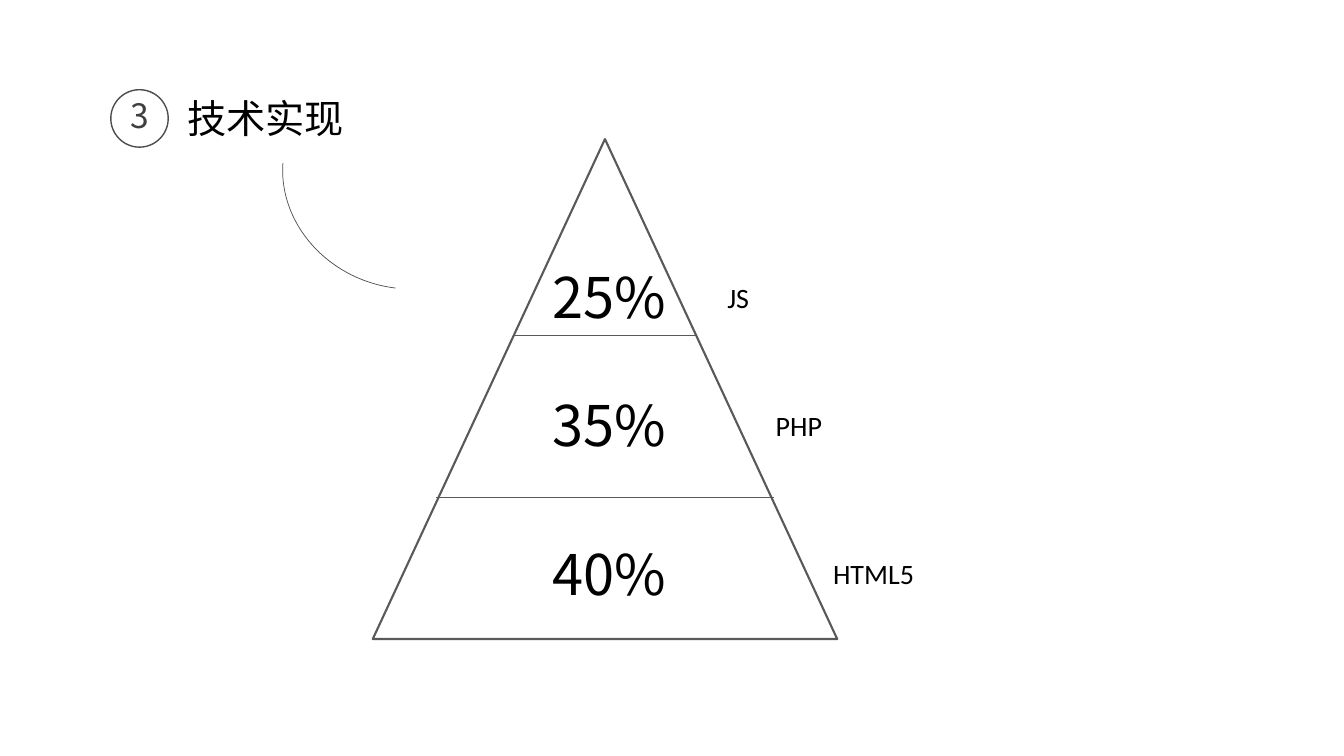
from lxml import etree
from pptx import Presentation
from pptx.dml.color import RGBColor
from pptx.enum.shapes import MSO_CONNECTOR, MSO_SHAPE
from pptx.enum.text import MSO_AUTO_SIZE
from pptx.oxml.ns import qn
from pptx.util import Inches, Pt

OVAL, ARC, TRIANGLE = MSO_SHAPE.OVAL, MSO_SHAPE.ARC, MSO_SHAPE.ISOSCELES_TRIANGLE
STRAIGHT = MSO_CONNECTOR.STRAIGHT
GROW = MSO_AUTO_SIZE.SHAPE_TO_FIT_TEXT
CJK, LATIN = "Noto Sans CJK SC", "Calibri"
BLACK, GRAY, DARK, MID = "000000", "404040", "4D4D4D", "595959"

LEVELS = [
    ("25%", 2.56, "JS", 7.12, 2.73),
    ("35%", 3.83, "PHP", 7.6, 4),
    ("40%", 5.3, "HTML5", 8.17, 5.47),
]
DIVIDERS = [(5.09, 6.9, 3.33), (4.33, 7.68, 4.93)]


def rgb(value):
    """Return the colour for a hex string."""
    return RGBColor.from_string(value)


def set_line(line, color, width):
    """Set the colour and width of a line."""
    line.color.rgb = rgb(color)
    line.width = Pt(width)


def add_outline(s, kind, box, color, width):
    """Add an unfilled preset shape."""
    sp = s.shapes.add_shape(kind, *map(Inches, box))
    sp.shadow.inherit = False
    sp.fill.background()
    set_line(sp.line, color, width)
    return sp


def add_text(s, text, box, size, font=CJK, color=BLACK):
    """Add a text box with one run of text."""
    tf = s.shapes.add_textbox(*map(Inches, box)).text_frame
    for name, value in {"word_wrap": True, "auto_size": GROW}.items():
        setattr(tf, name, value)
    r = tf.paragraphs[0].add_run()
    r.text = text
    for name, value in {"name": font, "size": Pt(size)}.items():
        setattr(r.font, name, value)
    r.font.color.rgb = rgb(color)
    ea = etree.SubElement(r.font._element, qn("a:ea"))
    ea.set("typeface", font)


def add_divider(s, left, right, y):
    """Add a thin horizontal line across the pyramid."""
    ln = s.shapes.add_connector(STRAIGHT, *map(Inches, (left, y, right, y)))
    set_line(ln.line, MID, 0.5)
    etree.SubElement(ln._element.spPr, qn("a:effectLst"))


def add_arc(s, box, rotation, start, end):
    """Add a thin arc between two angles in degrees."""
    sp = add_outline(s, ARC, box, DARK, 0.5)
    sp.rotation = rotation
    for i, angle in enumerate((start, end)):
        sp.adjustments[i] = angle * 0.6


def main():
    """Build the slide and save it."""
    prs = Presentation()
    prs.slide_width, prs.slide_height = Inches(13.34), Inches(7.5)
    s = prs.slides.add_slide(prs.slide_layouts[6])

    add_outline(s, OVAL, (1.1, 0.89, 0.57, 0.57), DARK, 1)
    add_text(s, "3", (1.2, 0.89, 0.39, 0.5), 24, color=GRAY)
    add_text(s, "技术实现", (1.76, 0.89, 1.84, 0.57), 28)
    add_arc(s, (2.79, 0.69, 2.4, 2.16), 21.4, 72, 166)

    for share, top, label, label_left, label_top in LEVELS:
        add_text(s, share, (5.39, top, 1.34, 0.77), 40)
        add_text(s, label, (label_left, label_top, 1.61, 0.44), 20, LATIN)

    add_outline(s, TRIANGLE, (3.7, 1.38, 4.61, 4.96), MID, 1.5)
    for left, right, y in DIVIDERS:
        add_divider(s, left, right, y)

    prs.save("out.pptx")


if __name__ == "__main__":
    main()
